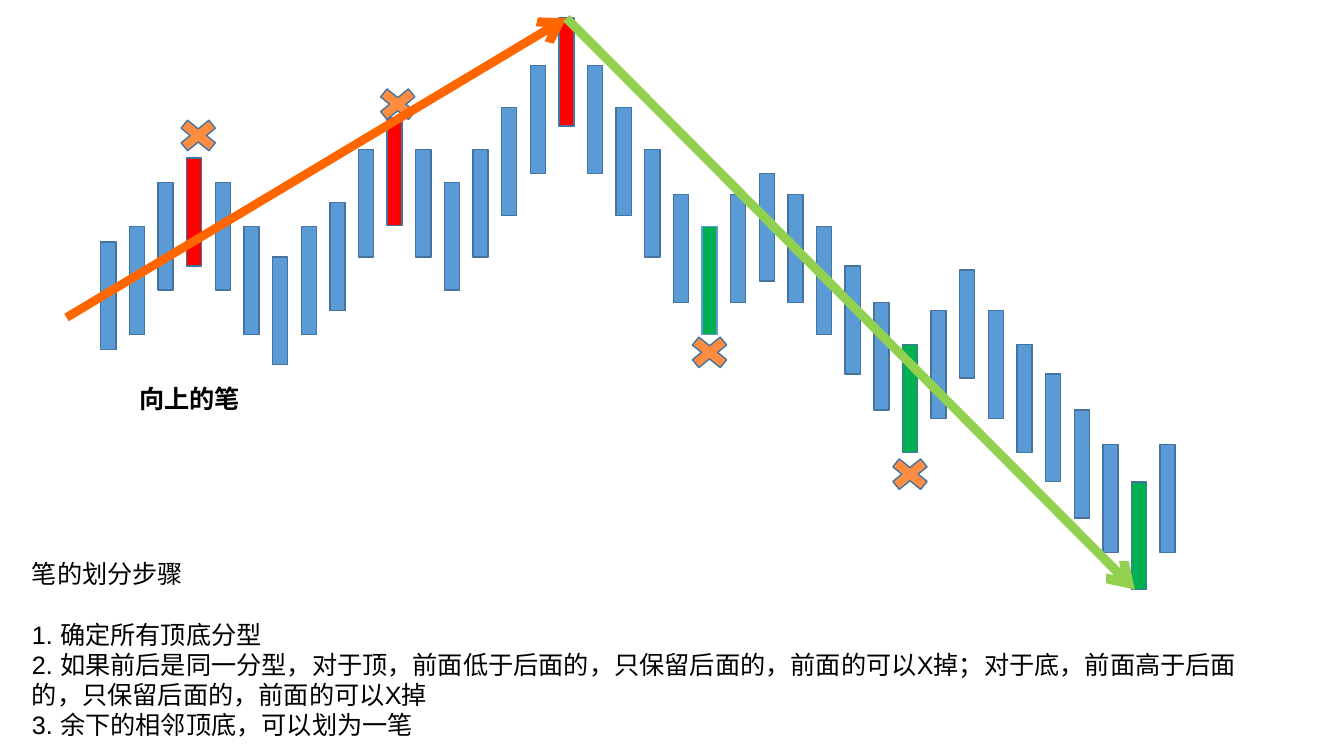
from dataclasses import dataclass
from lxml.etree import SubElement
from pptx import Presentation
from pptx.dml.color import RGBColor as Rgb
from pptx.enum.shapes import MSO_CONNECTOR as Link, MSO_SHAPE as Kind
from pptx.enum.text import MSO_AUTO_SIZE as Auto
from pptx.oxml.ns import qn
from pptx.util import Pt


@dataclass(frozen=True)
class Theme:
    """Colours, font and type size of the slide."""
    bar: str = "5B9BD5"
    edge: str = "43739E"
    top: str = "FF0000"
    low: str = "00B050"
    cross: str = "FF8D41"
    rise: str = "FF6600"
    fall: str = "92D050"
    ink: str = "000000"
    font: str = "Arial"
    size: int = 18


THEME = Theme()
STEP, WIDE, TALL = 20.45, 10.8, 77
TOPS = [172.8, 162, 130.3, 113, 130.3, 162, 183.6, 162, 144.7, 106.6,
        84.2, 106.6, 130.3, 106.6, 77, 46.8, 13, 46.8, 77, 106.6,
        139, 162, 139, 123.8, 139, 162, 190.1, 216, 246.2, 221.8,
        193, 221.8, 246.2, 267.1, 293, 317.5, 344.2, 317.5]
PEAK = 16
MARKS = {3: THEME.top, 10: THEME.top, PEAK: THEME.top,
         21: THEME.low, 28: THEME.low, 36: THEME.low}
RIMS = {21: THEME.bar}
CROSSES = [(3, 2.9, -31.7), (10, 2.2, -25.2), (21, 0, 74.2), (28, 0, 77)]
STEPS = ["1. 确定所有顶底分型",
         "2. 如果前后是同一分型，对于顶，前面低于后面的，只保留后面的，前面的可以X掉；"
         "对于底，前面高于后面的，只保留后面的，前面的可以X掉",
         "3. 余下的相邻顶底，可以划为一笔"]


def add_form(slide, kind, box, fill, edge=THEME.edge):
    """Draw one filled shape in the given box."""
    form = slide.shapes.add_shape(kind, *map(Pt, box))
    form.shadow.inherit = False
    form.fill.solid()
    form.fill.fore_color.rgb = Rgb.from_string(fill)
    form.line.color.rgb = Rgb.from_string(edge)
    form.line.width = Pt(1)
    return form


def add_bars(slide, left, top):
    """Draw the row of price bars and return them."""
    return [add_form(slide, Kind.RECTANGLE, (left + i * STEP, top + y, WIDE, TALL),
                     MARKS.get(i, THEME.bar), RIMS.get(i, THEME.edge))
            for i, y in enumerate(TOPS)]


def add_crosses(slide, left, top):
    """Strike out the turning points that are dropped."""
    wide, tall = 38.2, 31
    for i, shift, drop in CROSSES:
        x = left + i * STEP + (WIDE - wide) / 2 + shift
        add_form(slide, Kind.MATH_MULTIPLY, (x, top + TOPS[i] + drop, wide, tall),
                 THEME.cross)


def add_arrow(slide, start, end, color, width):
    """Draw a stroke with an open arrowhead at its end."""
    line = slide.shapes.add_connector(Link.STRAIGHT, *map(Pt, start + end))
    line.line.color.rgb = Rgb.from_string(color)
    line.line.width = Pt(width)
    SubElement(line.line._get_or_add_ln(), qn("a:tailEnd"), type="arrow")
    SubElement(line._element.spPr, qn("a:effectLst"))
    return line


def add_strokes(slide, left, top, peak):
    """Draw the rising and the falling stroke through the peak bar."""
    tip = (left + PEAK * STEP + WIDE / 2, top + TOPS[PEAK])
    rise = add_arrow(slide, (left - 24.5, top + 226.8), tip, THEME.rise, 6.25)
    rise.end_connect(peak, 0)
    fall = add_arrow(slide, tip, (left + 738.7, top + 421.2), THEME.fall, 6.5)
    fall.begin_connect(peak, 0)


def add_text(slide, box, lines, bold=None):
    """Write paragraphs in a text box and return them."""
    frame = slide.shapes.add_textbox(*map(Pt, box)).text_frame
    frame.word_wrap = True
    frame.auto_size = Auto.SHAPE_TO_FIT_TEXT
    for i, line in enumerate(lines):
        para = frame.add_paragraph() if i else frame.paragraphs[0]
        run = para.add_run()
        run.text = line
        font = run.font
        font.name, font.size, font.bold = THEME.font, Pt(THEME.size), bold
        font.color.rgb = Rgb.from_string(THEME.ink)
    return frame.paragraphs


def add_notes(slide, box):
    """Write the title and the steps below the chart."""
    paras = add_text(slide, box, ["笔的划分步骤", *STEPS])
    paras[0].space_after = Pt(21.6)


def main():
    """Build the slide and save it."""
    deck = Presentation()
    deck.slide_width, deck.slide_height = Pt(960), Pt(540)
    slide = deck.slides.add_slide(deck.slide_layouts[6])
    left, top = 72, 0
    bars = add_bars(slide, left, top)
    add_text(slide, (92.2, 270, 98, 28.8), ["向上的笔"], True)
    add_crosses(slide, left, top)
    add_notes(slide, (15.8, 395.3, 885.6, 138.2))
    add_strokes(slide, left, top, bars[PEAK])
    deck.save("out.pptx")


if __name__ == "__main__":
    main()
